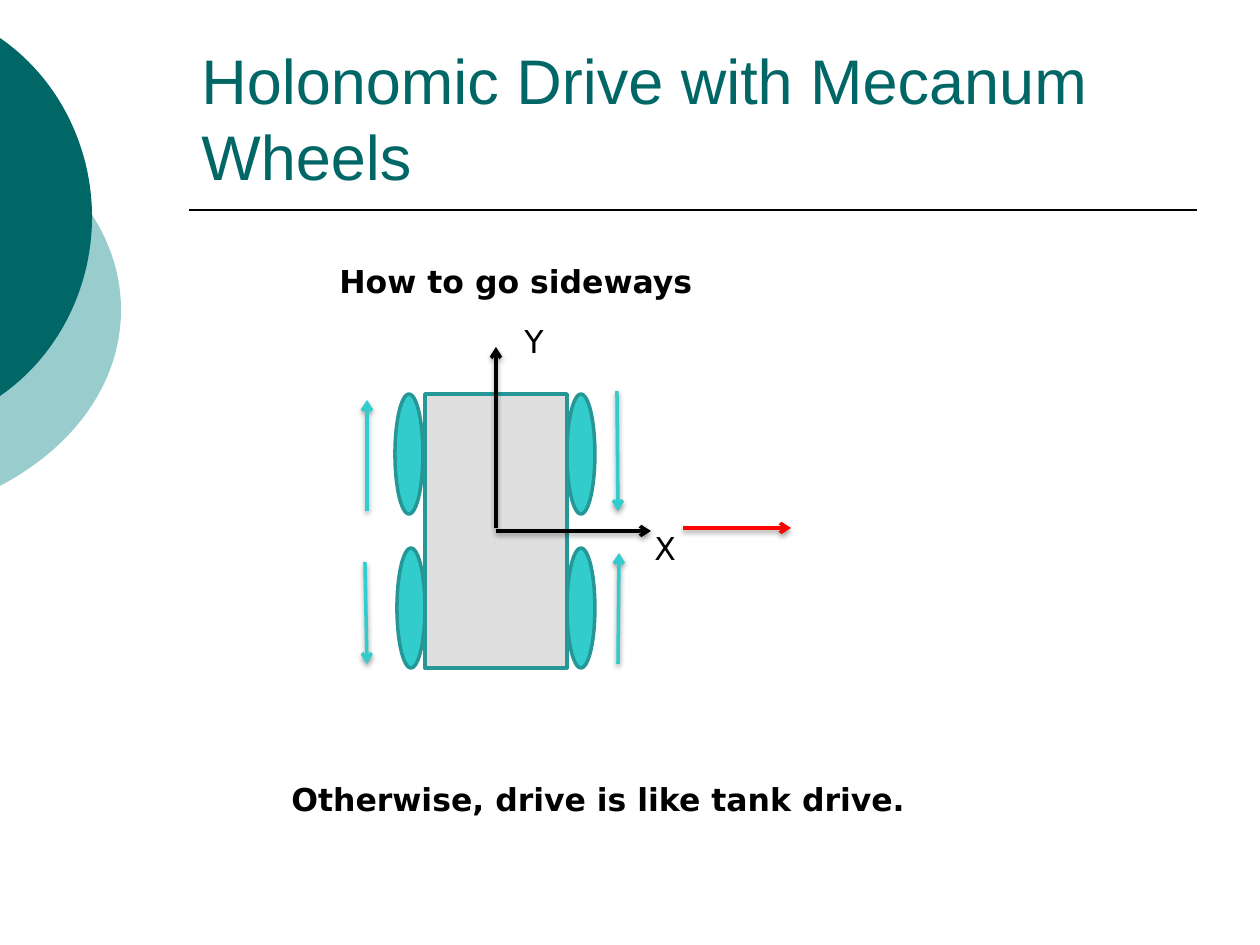
import lxml.etree
import pptx
import pptx.dml.color
import pptx.enum.shapes
import pptx.enum.text
import pptx.oxml
import pptx.oxml.ns
import pptx.util

SCALE = 914400 / 126  # EMU in one px
SHAPE = pptx.enum.shapes.MSO_SHAPE
ANCHOR = pptx.enum.text.MSO_ANCHOR
TEAL, PALE, AQUA, RIM = "006666", "99CCCC", "33CCCC", "269797"
BLACK, RED, GREY = "000000", "FF0000", "DFDFDF"

SHADOW = (
    '<a:effectLst %s><a:outerShdw blurRad="39370" dist="20320" dir="5400000" '
    'rotWithShape="0"><a:srgbClr val="000000"><a:alpha val="38000"/></a:srgbClr>'
    "</a:outerShdw></a:effectLst>" % pptx.oxml.ns.nsdecls("a")
)
NO_EFFECT = "<a:effectLst %s/>" % pptx.oxml.ns.nsdecls("a")


def px(n):
    return pptx.util.Emu(round(n * SCALE))


def rgb(color):
    return pptx.dml.color.RGBColor.from_string(color)


def add_node(parent, tag, **attributes):
    return lxml.etree.SubElement(parent, pptx.oxml.ns.qn(tag), **attributes)


class Deck:
    def __init__(self, width, height):
        self.prs = pptx.Presentation()
        self.prs.slide_width, self.prs.slide_height = px(width), px(height)
        self.s = self.prs.slides.add_slide(self.prs.slide_layouts[6])

    def paint(self, sp, fill, line=None, width=2):
        sp.shadow.inherit = False
        sp.fill.solid()
        sp.fill.fore_color.rgb = rgb(fill)
        if line:
            sp.line.color.rgb = rgb(line)
            sp.line.width = pptx.util.Pt(width)
        else:
            sp.line.fill.background()

    def disc_edge(self, box, mid, reach, shoulder, bend, fill):
        """Right part of a disc, cut at the left edge and symmetric about mid."""
        x, y, w, h = box
        tip = x + w
        builder = self.s.shapes.build_freeform(x, y, scale=SCALE)
        builder.add_line_segments([(tip, y), (tip, y + h), (x, y + h)])
        sp = builder.convert_to_shape()
        outline = next(sp._element.iter(pptx.oxml.ns.qn("a:path")))
        for node in list(outline):
            outline.remove(node)
        upper = [(0, mid - reach), (shoulder, mid - bend), (tip, mid - 71), (tip, mid)]
        lower = [(cx, 2 * mid - cy) for cx, cy in reversed(upper[:-1])]
        steps = (("a:moveTo", upper[:1]), ("a:cubicBezTo", upper[1:]),
                 ("a:cubicBezTo", lower), ("a:close", ()))
        for tag, points in steps:
            node = add_node(outline, tag)
            for cx, cy in points:
                add_node(node, "a:pt", x=str(cx - x), y=str(cy - y))
        self.paint(sp, fill)

    def shape(self, kind, x, y, w, h, fill, line):
        sp = self.s.shapes.add_shape(kind, px(x), px(y), px(w), px(h))
        self.paint(sp, fill, line)

    def line(self, start, end, color, width=1, arrow=False):
        """Straight line; an arrow gets a head at its end and a soft shadow."""
        sp = self.s.shapes.add_connector(
            pptx.enum.shapes.MSO_CONNECTOR.STRAIGHT,
            *(px(n) for n in start + end))
        sp.line.color.rgb = rgb(color)
        sp.line.width = pptx.util.Pt(width)
        if arrow:
            add_node(sp.line._get_or_add_ln(), "a:tailEnd", type="arrow")
        effect = SHADOW if arrow else NO_EFFECT
        sp._element.spPr.append(pptx.oxml.parse_xml(effect))

    def text(self, words, x, y, w, h, font="DejaVu Sans", size=18, color=BLACK,
             bold=False, wrap=False, anchor=ANCHOR.TOP):
        tf = self.s.shapes.add_textbox(px(x), px(y), px(w), px(h)).text_frame
        for name, value in {"word_wrap": wrap, "vertical_anchor": anchor}.items():
            setattr(tf, name, value)
        r = tf.paragraphs[0].add_run()
        r.text = words
        style = {"name": font, "size": pptx.util.Pt(size), "bold": bold}
        for name, value in style.items():
            setattr(r.font, name, value)
        r.font.color.rgb = rgb(color)


def main():
    deck = Deck(1260, 945)

    deck.disc_edge((-446, 95, 567, 430), mid=310, reach=176, shoulder=76,
                   bend=136, fill=PALE)
    deck.disc_edge((-334, 0, 426, 435), mid=217, reach=179, shoulder=58,
                   bend=139, fill=TEAL)
    deck.line((189, 210), (1197, 210), BLACK)
    deck.text("Holonomic Drive with Mecanum Wheels", 189, 42, 1008, 157,
              font="Arial", size=36, color=TEAL, wrap=True, anchor=ANCHOR.BOTTOM)

    for x, y in ((395, 394), (567, 548), (567, 394), (397, 548)):
        deck.shape(SHAPE.OVAL, x, y, 28, 120, AQUA, RIM)
    deck.shape(SHAPE.RECTANGLE, 425, 394, 142, 274, GREY, RIM)

    wheel_motions = (
        ((365, 562), (367, 664)),
        ((367, 511), (367, 400)),
        ((618, 664), (619, 553)),
        ((617, 391), (618, 511)),
    )
    for start, end in wheel_motions:
        deck.line(start, end, AQUA, 2, arrow=True)
    deck.line((683, 528), (791, 528), RED, 2, arrow=True)
    for start, end in (((496, 528), (496, 347)), ((496, 531), (651, 531))):
        deck.line(start, end, BLACK, 2, arrow=True)

    deck.text("Y", 512, 316, 45, 50)
    deck.text("X", 642, 523, 48, 50)
    deck.text("How to go sideways", 327, 256, 383, 50, bold=True)
    deck.text("Otherwise, drive is like tank drive.", 279, 774, 641, 50, bold=True)

    deck.prs.save("out.pptx")


if __name__ == "__main__":
    main()
